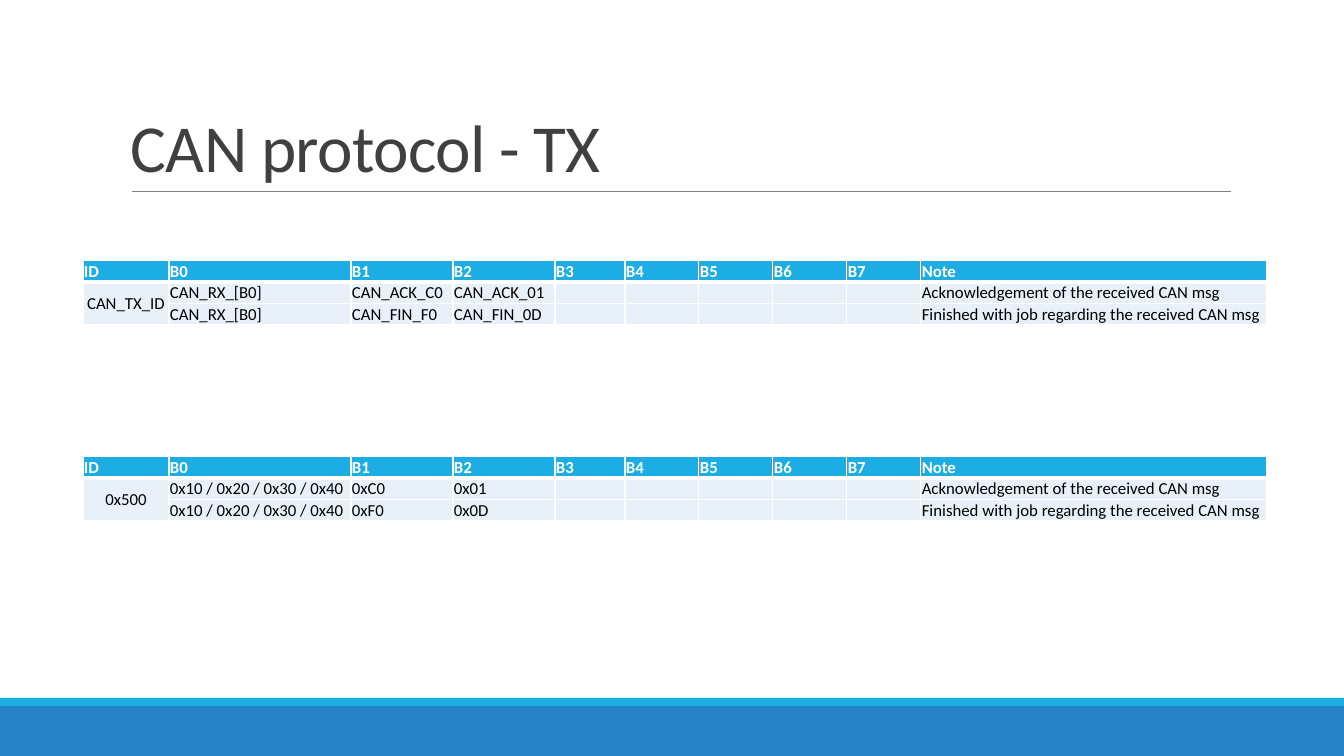
from dataclasses import dataclass

from lxml import etree
from pptx import Presentation
from pptx.dml.color import RGBColor
from pptx.enum.shapes import MSO_CONNECTOR, MSO_SHAPE
from pptx.enum.text import MSO_ANCHOR, PP_ALIGN
from pptx.oxml.ns import qn
from pptx.util import Emu, Pt

RECTANGLE = MSO_SHAPE.RECTANGLE
STRAIGHT = MSO_CONNECTOR.STRAIGHT
BOTTOM, MIDDLE = MSO_ANCHOR.BOTTOM, MSO_ANCHOR.MIDDLE
LEFT, CENTER = PP_ALIGN.LEFT, PP_ALIGN.CENTER

SLIDE_WIDTH, SLIDE_HEIGHT = 1344, 756
PX_PER_INCH = 100.8


@dataclass(frozen=True)
class Theme:
    font: str = "Calibri"
    title_size: int = 48
    cell_size: int = 12
    title: str = "404040"
    text: str = "000000"
    white: str = "FFFFFF"
    header: str = "1CADE4"
    body: str = "E8F1FA"
    footer: str = "2683C6"
    rule: str = "808080"
    grid_width: int = 1
    header_line_width: int = 3


THEME = Theme()


@dataclass(frozen=True)
class Band:
    top: int
    height: int
    color: str


@dataclass(frozen=True)
class Message:
    b0: str
    b1: str
    b2: str
    note: str


@dataclass(frozen=True)
class MessageTable:
    top: int
    can_id: str
    messages: tuple[Message, ...]


HEADINGS = ("ID", *(f"B{byte}" for byte in range(8)), "Note")
COLUMN_WIDTHS = (86, 182, 102, 102, 70, 74, 74, 74, 74, 346)
ROW_HEIGHTS = (22, 21, 21)
TABLE_LEFT = 83

ACKNOWLEDGED = "Acknowledgement of the received CAN msg"
FINISHED = "Finished with job regarding the received CAN msg"
RECEIVED_NAME = "CAN_RX_[B0]"
RECEIVED_VALUES = "0x10 / 0x20 / 0x30 / 0x40"

BANDS = (Band(706, 50, THEME.footer), Band(698, 8, THEME.header))
MESSAGE_TABLES = (
    MessageTable(260, "CAN_TX_ID", (
        Message(RECEIVED_NAME, "CAN_ACK_C0", "CAN_ACK_01", ACKNOWLEDGED),
        Message(RECEIVED_NAME, "CAN_FIN_F0", "CAN_FIN_0D", FINISHED),
    )),
    MessageTable(456, "0x500", (
        Message(RECEIVED_VALUES, "0xC0", "0x01", ACKNOWLEDGED),
        Message(RECEIVED_VALUES, "0xF0", "0x0D", FINISHED),
    )),
)


def px(length: int) -> Emu:
    return Emu(round(length * 914400 / PX_PER_INCH))


def rgb(color: str) -> RGBColor:
    return RGBColor.from_string(color)


def add_run(paragraph, text: str, size: int, color: str, bold: bool = False):
    run = paragraph.add_run()
    run.text = text
    run.font.name = THEME.font
    run.font.size = Pt(size)
    run.font.bold = bold
    run.font.color.rgb = rgb(color)
    return run


def add_band(slide, band: Band) -> None:
    bar = slide.shapes.add_shape(
        RECTANGLE, 0, px(band.top), px(SLIDE_WIDTH), px(band.height))
    bar.shadow.inherit = False
    bar.fill.solid()
    bar.fill.fore_color.rgb = rgb(band.color)
    bar.line.fill.background()


def add_title(slide, text: str) -> None:
    title = slide.shapes.add_textbox(px(121), px(31), px(1109), px(160))
    frame = title.text_frame
    frame.word_wrap = True
    frame.vertical_anchor = BOTTOM
    paragraph = frame.paragraphs[0]
    paragraph.line_spacing = 0.85
    run = add_run(paragraph, text, THEME.title_size, THEME.title)
    run.font._element.set("spc", "-50")

    rule = slide.shapes.add_connector(STRAIGHT, px(132), px(191), px(1231), px(191))
    rule.line.color.rgb = rgb(THEME.rule)
    rule.line.width = Pt(0.5)
    etree.SubElement(rule._element.spPr, qn("a:effectLst"))


def set_borders(cell, top: int, bottom: int) -> None:
    widths = {"L": THEME.grid_width, "R": THEME.grid_width, "T": top, "B": bottom}
    properties = cell._tc.get_or_add_tcPr()
    for index, (side, width) in enumerate(widths.items()):
        border = etree.Element(qn(f"a:ln{side}"), w=str(Pt(width)))
        fill = etree.SubElement(border, qn("a:solidFill"))
        etree.SubElement(fill, qn("a:srgbClr"), val=THEME.white)
        properties.insert(index, border)


def fill_cell(cell, text: str, row: int, is_id: bool) -> None:
    is_header = row == 0
    is_centered = is_id and not is_header
    cell.margin_left = cell.margin_right = cell.margin_top = px(1)
    cell.margin_bottom = 0
    cell.vertical_anchor = MIDDLE if is_centered else BOTTOM
    cell.fill.solid()
    cell.fill.fore_color.rgb = rgb(THEME.header if is_header else THEME.body)
    set_borders(
        cell,
        top=THEME.header_line_width if row == 1 else THEME.grid_width,
        bottom=THEME.header_line_width if is_header else THEME.grid_width)

    paragraph = cell.text_frame.paragraphs[0]
    paragraph.alignment = CENTER if is_centered else LEFT
    if text:
        add_run(paragraph, text, THEME.cell_size,
                THEME.white if is_header else THEME.text, is_header)
    else:
        # Keep empty cells from stretching their row
        etree.SubElement(paragraph._p, qn("a:endParaRPr"),
                         sz=str(THEME.cell_size * 100))


def add_message_table(slide, spec: MessageTable) -> None:
    rows = [HEADINGS]
    for index, message in enumerate(spec.messages):
        can_id = spec.can_id if index == 0 else ""
        rows.append((can_id, message.b0, message.b1, message.b2,
                     *[""] * 5, message.note))

    table = slide.shapes.add_table(
        len(rows), len(HEADINGS), px(TABLE_LEFT), px(spec.top),
        px(sum(COLUMN_WIDTHS)), px(sum(ROW_HEIGHTS))).table
    for column, width in zip(table.columns, COLUMN_WIDTHS):
        column.width = px(width)
    for table_row, height in zip(table.rows, ROW_HEIGHTS):
        table_row.height = px(height)
    for row, texts in enumerate(rows):
        for column, text in enumerate(texts):
            fill_cell(table.cell(row, column), text, row, is_id=column == 0)
    table.cell(1, 0).merge(table.cell(len(spec.messages), 0))


def main() -> None:
    presentation = Presentation()
    presentation.slide_width = px(SLIDE_WIDTH)
    presentation.slide_height = px(SLIDE_HEIGHT)
    slide = presentation.slides.add_slide(presentation.slide_layouts[6])

    # Footer bands
    for band in BANDS:
        add_band(slide, band)

    # Title and its rule
    add_title(slide, "CAN protocol - TX")

    # Symbolic names, then their values
    for message_table in MESSAGE_TABLES:
        add_message_table(slide, message_table)

    presentation.save("out.pptx")


if __name__ == "__main__":
    main()
